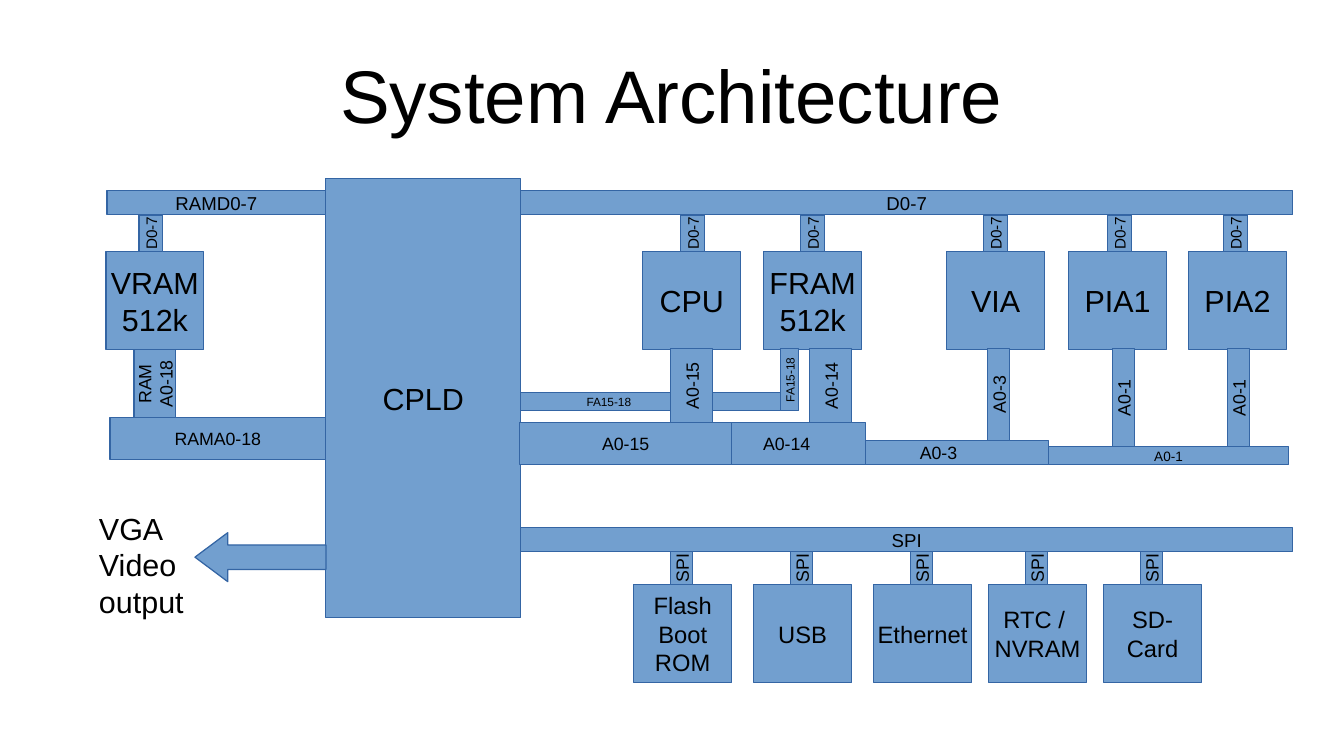
from pptx import Presentation
from pptx import util as u
from pptx.dml.color import RGBColor
from pptx.enum import shapes, text

PX = 914400 // 122
FILL, EDGE, INK = "729FCF", "3465A4", "000000"
FONT = "Arial"

TITLE = "System Architecture"
CPLD = ("CPLD", 326, 179, 195, 439)
OUTPUT = "VGA\nVideo\noutput"

# Chips on the data bus: label, left, centre of the D0-7 link
CHIP, CHIP_TOP = 98, 252
CHIPS = [
    ("VRAM\n512k", 106, 151),
    ("CPU", 643, 693),
    ("FRAM\n512k", 764, 813),
    ("VIA", 947, 996),
    ("PIA1", 1069, 1120),
    ("PIA2", 1189, 1236),
]

# Devices on the SPI bus: label, left
DEVICE_TOP = 585
DEVICES = [
    ("Flash\nBoot\nROM", 634),
    ("USB", 754),
    ("Ethernet", 874),
    ("RTC / \nNVRAM", 989),
    ("SD-\nCard", 1104),
]

# Horizontal buses: label, left, top, width, height, size, right inset
BUSES = [
    ("RAMD0-7", 107, 191, 219, 24, 11, 0),
    ("D0-7", 521, 191, 772, 24, 11, 0),
    ("SPI", 521, 528, 772, 24, 11, 0),
    ("A0-3", 829, 441, 220, 24, 10.5, 0),
    ("A0-1", 1049, 447, 240, 18, 8, 0),
    ("A0-14", 708, 423, 158, 42, 10.5, 0),
    ("RAMA0-18", 110, 418, 216, 42, 10.5, 0),
    ("A0-15", 520, 423, 212, 42, 10.5, 0),
    ("FA15-18", 521, 393, 260, 18, 7, 84),
]

# Vertical address links: label, centre, top, width, height, size
LINKS = [
    ("RAM\nA0-18", 155, 350, 42, 68, 10.5),
    ("A0-15", 692, 349, 42, 74, 10.5),
    ("FA15-18", 790, 349, 18, 62, 7),
    ("A0-14", 831, 349, 42, 74, 10.5),
    ("A0-3", 999, 349, 22, 92, 10.5),
    ("A0-1", 1124, 349, 22, 98, 10.5),
    ("A0-1", 1239, 349, 22, 98, 10.5),
]


def color(value):
    return RGBColor.from_string(value)


def px(*lengths):
    return [round(n * PX) for n in lengths]


def write(sp, label, size, align=text.PP_ALIGN.CENTER,
          anchor=text.MSO_ANCHOR.MIDDLE, inset=(0, 0, 0, 0)):
    """Fill a shape with text, one paragraph per line; inset is l, t, r, b."""
    tf = sp.text_frame
    tf.word_wrap = False
    tf.vertical_anchor = anchor
    tf.margin_left, tf.margin_top, tf.margin_right, tf.margin_bottom = px(*inset)
    tf.text = label
    for p in tf.paragraphs:
        p.alignment = align
        for r in p.runs:
            r.font.name = FONT
            r.font.size = u.Pt(size)
            r.font.color.rgb = color(INK)


def block(slide, x, y, w, h, kind=shapes.MSO_SHAPE.RECTANGLE):
    sp = slide.shapes.add_shape(kind, *px(x, y, w, h))
    sp.shadow.inherit = False
    sp.fill.solid()
    sp.fill.fore_color.rgb = color(FILL)
    sp.line.color.rgb = color(EDGE)
    sp.line.width = 0
    return sp


def link(slide, label, center, top, w, h, size):
    """Draw an upright bar whose text reads upwards."""
    sp = block(slide, center - h / 2, top + (h - w) / 2, h, w)
    sp.rotation = 270
    write(sp, label, size)


def main():
    prs = Presentation()
    prs.slide_width, prs.slide_height = u.Inches(11.02), u.Inches(6.2)
    slide = prs.slides.add_slide(prs.slide_layouts[6])

    write(slide.shapes.add_textbox(*px(67, 30, 1210, 127)), TITLE, 44)

    name, *place = CPLD
    write(block(slide, *place), name, 18)

    for label, x, y, w, h, size, right in BUSES:
        write(block(slide, x, y, w, h), label, size, inset=(0, 0, right, 0))

    for label, x, center in CHIPS:
        write(block(slide, x, CHIP_TOP, CHIP, CHIP), label, 18)
        link(slide, "D0-7", center, 215, 24, 37, 9)

    for label, x in DEVICES:
        write(block(slide, x, DEVICE_TOP, CHIP, CHIP), label, 14)
        link(slide, "SPI", x + CHIP / 2 - 1, 552, 22, 33, 10.5)

    for row in LINKS:
        link(slide, *row)

    arrow = block(slide, 195, 533, 131, 49, shapes.MSO_SHAPE.LEFT_ARROW)
    arrow.adjustments[0], arrow.adjustments[1] = 0.5, 0.67
    write(slide.shapes.add_textbox(*px(87, 504, 109, 115)), OUTPUT, 18,
          text.PP_ALIGN.LEFT, text.MSO_ANCHOR.TOP, (12, 6, 12, 6))

    prs.save("out.pptx")


if __name__ == "__main__":
    main()
